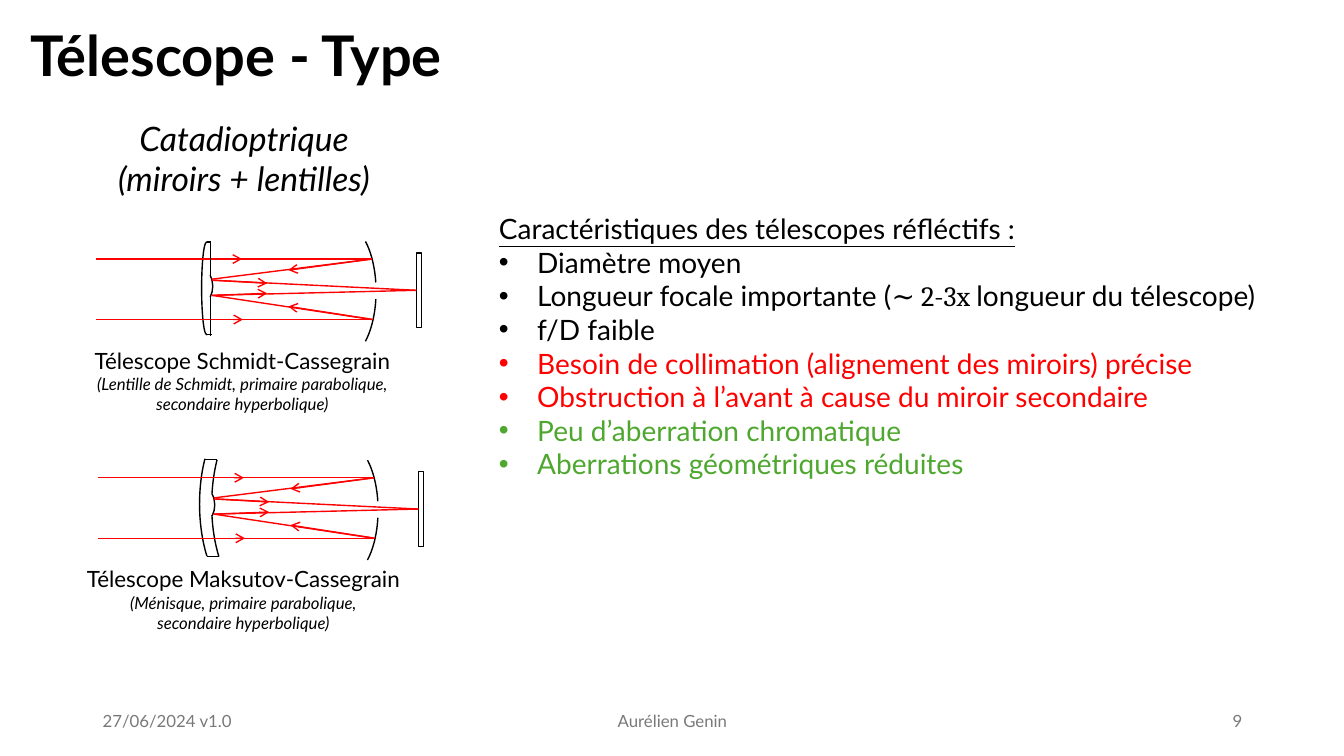
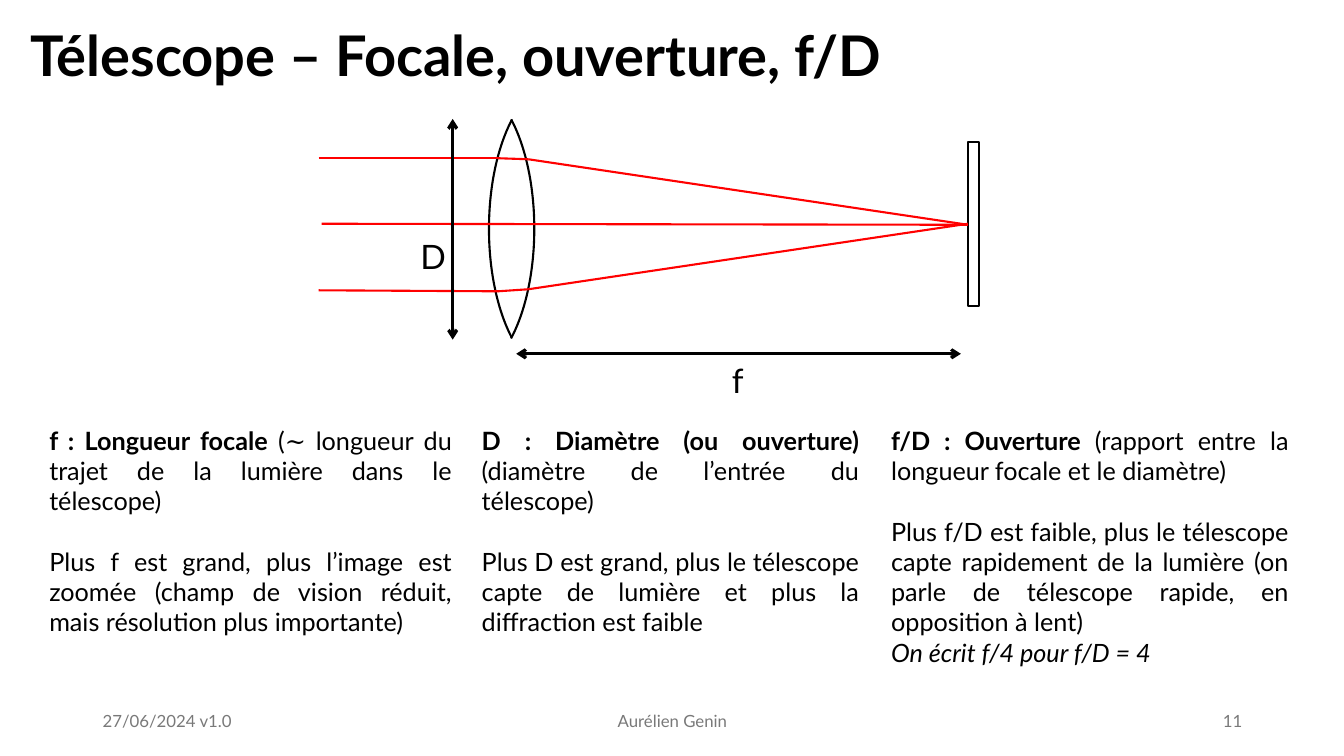
from pptx import Presentation
from pptx.dml.color import RGBColor
from pptx.enum.shapes import MSO_CONNECTOR, MSO_SHAPE
from pptx.enum.text import MSO_ANCHOR, PP_ALIGN
from pptx.oxml.ns import qn
from pptx.util import Inches, Pt
from lxml.etree import SubElement

BLACK = RGBColor(0, 0, 0)
RED = RGBColor(255, 0, 0)
GREEN = RGBColor(0x4E, 0xA7, 0x2E)
GREY = RGBColor(0x79, 0x79, 0x79)
FONT = "Lato"
MATH = "Cambria"
LEFT, MID, RIGHT, BOTH = PP_ALIGN.LEFT, PP_ALIGN.CENTER, PP_ALIGN.RIGHT, PP_ALIGN.JUSTIFY

deck = Presentation()
deck.slide_width = Inches(13.33)
deck.slide_height = Inches(7.5)
CELL = deck.slide_height / 75


def grid(*spots):
    return [round(spot * CELL) for spot in spots]


def write(slide, box, paras, size, align=LEFT, color=BLACK):
    frame = slide.shapes.add_textbox(*grid(*box)).text_frame
    frame.word_wrap = True
    frame.text = "\n".join(parts[0][0] for parts in paras)
    for para, parts in zip(frame.paragraphs, paras):
        para.alignment = align
        for words, _ in parts[1:]:
            para.add_run().text = words
        for run, (_, style) in zip(para.runs, parts):
            font = run.font
            font.name = style.get("name", FONT)
            font.size = Pt(style.get("size", size))
            font.color.rgb = style.get("color", color)
            font.bold = style.get("bold", False)
            font.italic = style.get("italic", False)
            font.underline = style.get("under", False)
    return frame


pages = []
for title, page in [("Télescope - Type", "9"), ("Télescope – Focale, ouverture, f/D", "11")]:
    slide = deck.slides.add_slide(deck.slide_layouts[6])
    write(slide, (2, 1.5, 124.5, 7.7), [[(title, {"bold": True})]], 40)
    for words, left, width, align in [
        ("27/06/2024 v1.0", 9.2, 30, LEFT),
        ("Aurélien Genin", 44.2, 45, MID),
        (page, 94.2, 30, RIGHT),
    ]:
        foot = write(slide, (left, 69.5, width, 4), [[(words, {})]], 12, align, GREY)
        foot.vertical_anchor = MSO_ANCHOR.MIDDLE
    pages.append(slide)
types, focal = pages

write(types, (9.2, 11.2, 30, 9.1),
      [[("Catadioptrique (miroirs + lentilles)", {"italic": True})]], 24, MID)

facts = [[("Caractéristiques des télescopes réfléctifs :", {"under": True})],
         [("Diamètre moyen", {})],
         [("Longueur focale importante (", {}), ("∼ 2-3x ", {"name": MATH}),
          ("longueur du télescope)", {})],
         [("f/D faible", {})]]
for words, color in [
    ("Besoin de collimation (alignement des miroirs) précise", RED),
    ("Obstruction à l’avant à cause du miroir secondaire", RED),
    ("Peu d’aberration chromatique", GREEN),
    ("Aberrations géométriques réduites", GREEN),
]:
    facts.append([(words, {"color": color})])
frame = write(types, (48.5, 20.5, 80, 27.9), facts, 20)
for para in frame.paragraphs[1:]:
    props = para._p.get_or_add_pPr()
    props.set("marL", str(Inches(0.38)))
    props.set("indent", str(-Inches(0.38)))
    SubElement(props, qn("a:buFont")).set("typeface", "Arial")
    SubElement(props, qn("a:buChar")).set("char", "•")

shapes = []
lines = []
scopes = [
    (0, 0, "Télescope Schmidt-Cassegrain",
     ["(Lentille de Schmidt, primaire parabolique, secondaire hyperbolique)"]),
    (0.2, 21.7, "Télescope Maksutov-Cassegrain",
     ["(Ménisque, primaire parabolique,", "secondaire hyperbolique)"]),
]
for right, down, name, notes in scopes:
    paras = [[(name, {"size": 16})]] + [[(note, {"italic": True})] for note in notes]
    write(types, (6.5 + right / 2, 33.9 + down, 35.1, 7.7), paras, 12, MID)
    for left, top, wide, high, turn in [
        (31.1, 22.3, 6.2, 13.2, (175.55, 206.47)),
        (31.1, 22.3, 6.2, 13.2, (8.38, 40.54)),
        (14.9, 25.7, 6.2, 5.4, (203.39, 12.56)),
        (41.3, 25.1, 0.5, 7.4, ()),
    ]:
        shapes.append((types, 1, (left + right, top + down, wide, high), turn))
    for x1, y1, x2, y2, tip in [
        (9.5, 25.7, 36.9, 25.7, ""),
        (9.5, 31.7, 36.9, 31.7, ""),
        (21, 27.7, 36.9, 25.7, ""),
        (21, 29.3, 36.9, 31.7, ""),
        (21, 27.8, 41.3, 28.8, ""),
        (21, 29.3, 41.3, 28.8, ""),
        (9.5, 25.7, 24, 25.7, "tail"),
        (9.6, 31.7, 24.1, 31.7, "tail"),
        (28.6, 26.8, 36.9, 25.7, "head"),
        (28.6, 30.4, 37, 31.7, "head"),
        (26.5, 28.1, 21.2, 27.8, "head"),
        (26.5, 29.1, 21.2, 29.3, "head"),
    ]:
        ends = (x1 + right, y1 + down, x2 + right, y2 + down)
        lines.append((types, RED, 1, ends, [tip] if tip else []))

shapes += [
    (types, 1, (20, 24, 1, 9.2), (53.7, 162.43)),
    (types, 1, (19.8, 40.7, 8.6, 18.6), (74.82, 137.93)),
    (types, 1, (21, 40.8, 8.6, 18.6), (74.96, 100.07)),
    (types, 1, (21, 40.8, 8.6, 18.6), (116.37, 137.93)),
    (focal, 1.5, (39.4, 8.2, 13.6, 29), (175.55, 40.54)),
    (focal, 1.5, (48.5, 8.2, 13.6, 29), (67.85, 148.45)),
    (focal, 1.5, (96, 14.1, 1.1, 16.3), ()),
]
for ends in [
    (20.9, 27.3, 20.9, 24.1),
    (20.9, 33.3, 20.9, 29.5),
    (20.5, 24, 20.9, 24),
    (20.5, 33.2, 21, 33.2),
    (20.3, 45.6, 21.5, 45.6),
    (20.5, 55.2, 21.7, 55.2),
]:
    lines.append((types, BLACK, 1, ends, []))

for route in [
    [(31.6, 15.7), (49.4, 15.7), (52.4, 15.8), (96, 22.3)],
    [(31.6, 28.8), (49.4, 28.9), (52.4, 28.7), (96, 22.2)],
    [(31.9, 22.2), (96, 22.3)],
]:
    for start, stop in zip(route, route[1:]):
        lines.append((focal, RED, 1.5, start + stop, []))
for ends in [(51.2, 35.1, 95.3, 35.1), (44.9, 33.7, 44.9, 11.8)]:
    lines.append((focal, BLACK, 2.25, ends, ["head", "tail"]))

for slide, width, box, turn in shapes:
    kind = MSO_SHAPE.ARC if turn else MSO_SHAPE.RECTANGLE
    shape = slide.shapes.add_shape(kind, *grid(*box))
    shape.shadow.inherit = False
    shape.fill.background()
    shape.line.color.rgb = BLACK
    shape.line.width = Pt(width)
    for index, angle in enumerate(turn):
        shape.adjustments[index] = angle

for slide, color, width, ends, tips in lines:
    link = slide.shapes.add_connector(MSO_CONNECTOR.STRAIGHT, *grid(*ends))
    link.line.color.rgb = color
    link.line.width = Pt(width)
    for tip in tips:
        SubElement(link.line._get_or_add_ln(), qn(f"a:{tip}End")).set("type", "arrow")
    SubElement(link._element.spPr, qn("a:effectLst"))

for words, left, top in [("f", 71.6, 35.2), ("D", 40.7, 22.9)]:
    write(focal, (left, top, 3.3, 4.2), [[(words, {})]], 24, BOTH)

BOLD = {"bold": True}
terms = [
    (3.9, 41.9, [
        [("f : Longueur focale ", BOLD), ("(", {}), ("∼ ", {"name": MATH}),
         ("longueur du trajet de la lumière dans le télescope)", {})],
        [("Plus f est grand, plus l’image est zoomée (champ de vision réduit, "
          "mais résolution plus importante)", {})]]),
    (46.8, 39.4, [
        [("D : Diamètre (ou ouverture) ", BOLD), ("(diamètre de l’entrée du télescope)", {})],
        [("Plus D est grand, plus le télescope capte de lumière et plus la "
          "diffraction est faible", {})]]),
    (87.4, 41.4, [
        [("f/D : Ouverture ", BOLD), ("(rapport entre la longueur focale et le diamètre)", {})],
        [("Plus f/D est faible, plus le télescope capte rapidement de la lumière "
          "(on parle de télescope rapide, en opposition à lent)", {})],
        [("On écrit f/4 pour f/D = 4", {"italic": True})]]),
]
for left, width, paras in terms:
    frame = write(focal, (left, 41.7, width, 22.2), paras, 18, BOTH)
    frame.paragraphs[1].space_before = Pt(21.6)

deck.save("out.pptx")
